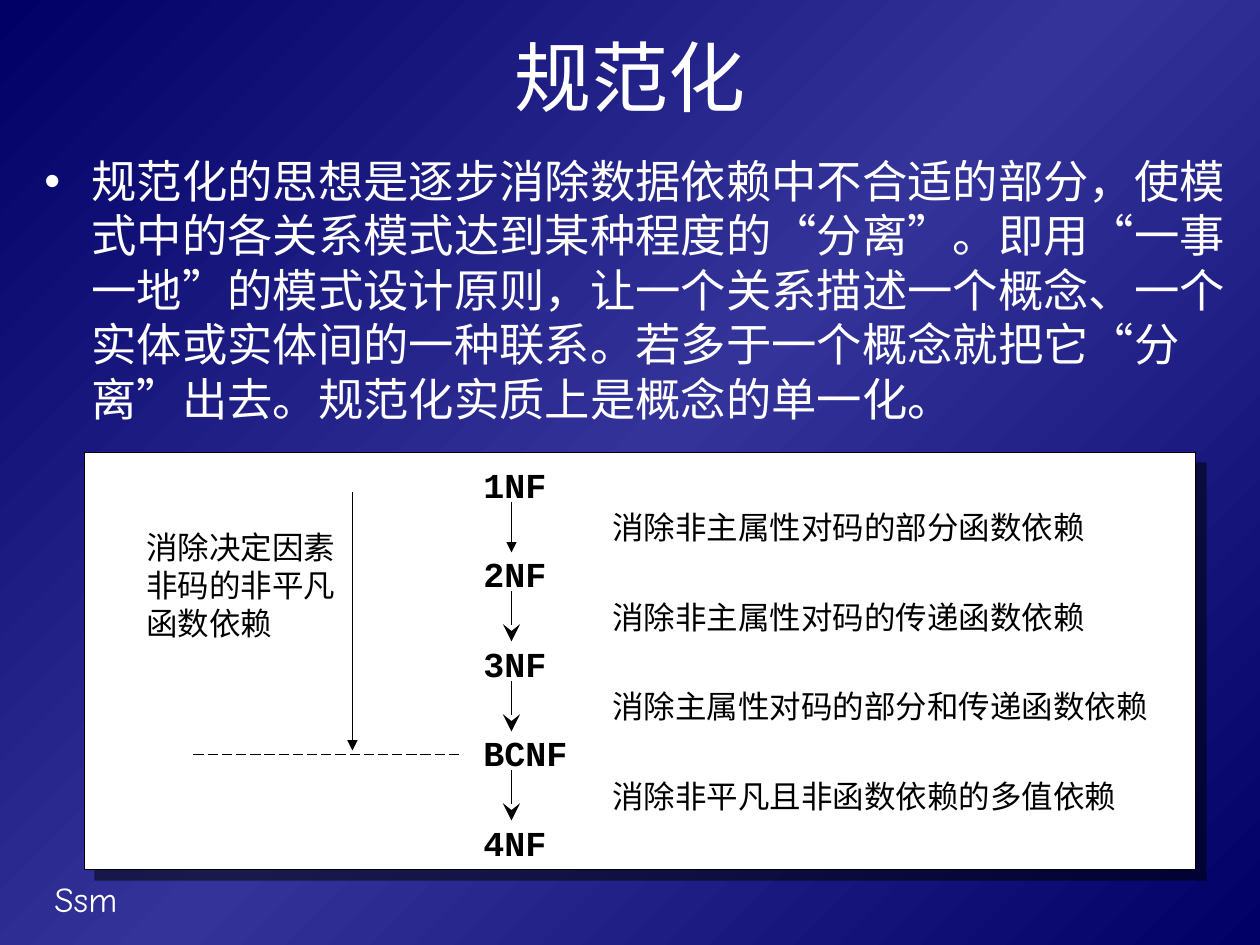
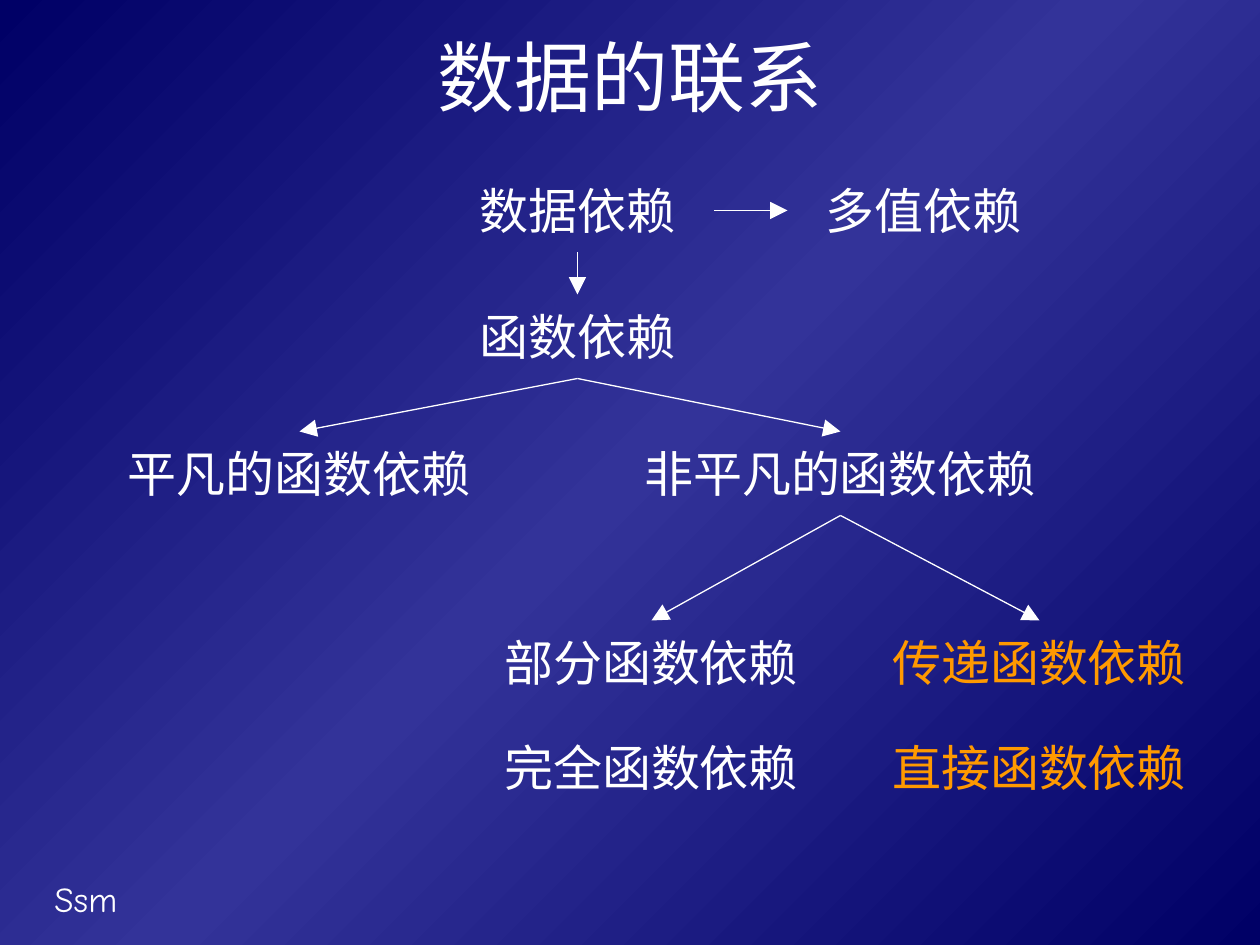
"""Build two slides on normal forms and data dependencies."""
from lxml import etree
from pptx import Presentation
from pptx.dml.color import RGBColor
from pptx.enum.dml import MSO_LINE as Dash
from pptx.enum.shapes import MSO_CONNECTOR as Conn, MSO_SHAPE as Kind
from pptx.enum.text import MSO_ANCHOR as Anchor, PP_ALIGN as Align
from pptx.oxml.ns import qn
from pptx.util import Emu, Pt

WHITE, BLACK, GOLD = "FFFFFF", "000000", "FF9900"
FADE = [(0, "000066"), (50, "333399"), (100, "000066")]
FOOT = "Ssm"

IDEA = ("规范化的思想是逐步消除数据依赖中不合适的部分，使模式中的各关系模式达到某种程度的“分离”。"
        "即用“一事一地”的模式设计原则，让一个关系描述一个概念、一个实体或实体间的一种联系。"
        "若多于一个概念就把它“分离”出去。规范化实质上是概念的单一化。")
FORMS = ["1NF", "2NF", "3NF", "BCNF", "4NF"]
RULES = [
    ("消除非主属性对码的部分函数依赖", "triangle", "med"),
    ("消除非主属性对码的传递函数依赖", "stealth", "lg"),
    ("消除主属性对码的部分和传递函数依赖", "stealth", "lg"),
    ("消除非平凡且非函数依赖的多值依赖", "stealth", "lg"),
]
SIDE = "消除决定因素非码的非平凡函数依赖"
STEP = 89.5

NODES = {
    "数据依赖": (441, 168, 273, WHITE),
    "函数依赖": (441, 294, 273, WHITE),
    "多值依赖": (787, 168, 273, WHITE),
    "平凡的函数依赖": (115, 431, 368, WHITE),
    "非平凡的函数依赖": (630, 431, 420, WHITE),
    "部分函数依赖": (504, 620, 294, WHITE),
    "完全函数依赖": (504, 725, 294, WHITE),
    "传递函数依赖": (892, 620, 294, GOLD),
    "直接函数依赖": (892, 725, 294, GOLD),
}
TALL = 84
LINKS = [
    ("数据依赖", "函数依赖"),
    ("函数依赖", "平凡的函数依赖"),
    ("函数依赖", "非平凡的函数依赖"),
    ("非平凡的函数依赖", "部分函数依赖"),
    ("非平凡的函数依赖", "传递函数依赖"),
    ("数据依赖", "多值依赖"),
]


def px(*vals):
    return [Emu(round(v * 914400 / 126)) for v in vals]


def snap(*vals):
    return [v // 1 + 0.5 for v in vals]


def rgb(code):
    return RGBColor.from_string(code)


def sub(node, tag, **attrs):
    return etree.SubElement(node, qn(tag), attrs)


def write(slide, text, box, size, color=WHITE, font="Arial", bold=False,
          mid=False):
    frame = slide.shapes.add_textbox(*px(*box)).text_frame
    frame.text = text
    frame.word_wrap = True
    para = frame.paragraphs[0]
    if mid:
        frame.vertical_anchor = Anchor.MIDDLE
        frame.margin_left = frame.margin_right = 0
        para.alignment = Align.CENTER
    face = para.runs[0].font
    face.size, face.name, face.bold = Pt(size), font, bold
    face.color.rgb = rgb(color)
    return para


def draw(slide, ends, color, tip=None, size="med", dash=None):
    wire = slide.shapes.add_connector(Conn.STRAIGHT, *px(*snap(*ends)))
    wire.line.color.rgb = rgb(color)
    wire.line.width = Pt(0.75)
    if dash:
        wire.line.dash_style = dash
    if tip:
        sub(wire.line._get_or_add_ln(), "a:tailEnd", type=tip, w=size, len=size)
    sub(wire.element.spPr, "a:effectLst")


def paint(slide):
    fill = slide.background.fill
    fill.gradient()
    fill.gradient_angle = 135
    stops = slide.element.find(".//" + qn("a:gsLst"))
    stops.clear()
    for pos, code in FADE:
        stop = sub(stops, "a:gs", pos=str(pos * 1000))
        sub(stop, "a:srgbClr", val=code)


def start(deck, title):
    slide = deck.slides.add_slide(deck.slide_layouts[6])
    paint(slide)
    write(slide, FOOT, (42, 871, 262, 55), 20, font="Comic Neue")
    write(slide, title, (63, 21, 1134, 110), 44, mid=True)
    return slide


def panel(slide):
    box = snap(84, 452) + [1111, 417]
    card = slide.shapes.add_shape(Kind.RECTANGLE, *px(*box))
    card.fill.solid()
    card.fill.fore_color.rgb = rgb(WHITE)
    card.line.color.rgb = rgb(BLACK)
    card.line.width = Pt(0.75)
    card.shadow.inherit = False
    glow = sub(card.element.spPr.find(qn("a:effectLst")), "a:outerShdw",
               dist=str(Pt(8.5)), dir="2700000", algn="tl", rotWithShape="0")
    sub(sub(glow, "a:srgbClr", val=BLACK), "a:alpha", val="50000")


def norms(deck):
    slide = start(deck, "规范化")
    para = write(slide, IDEA, (32, 147, 1208, 316), 25.9)
    props = para._p.get_or_add_pPr()
    dent = px(47)[0]
    props.set("marL", str(dent))
    props.set("indent", str(-dent))
    sub(sub(props, "a:buClr"), "a:srgbClr", val=WHITE)
    sub(props, "a:buFont", typeface="Arial")
    sub(props, "a:buChar", char="•")
    panel(slide)
    for i, form in enumerate(FORMS):
        write(slide, form, (471, 457 + i * STEP, 149, 55), 20, BLACK,
              "Courier New", True)
    for i, (rule, tip, size) in enumerate(RULES):
        top = 502 + i * STEP
        write(slide, rule, (600, top, 586, 50), 18, BLACK)
        draw(slide, (511, top, 511, top + 50), BLACK, tip, size)
    write(slide, SIDE, (134, 522, 218, 126), 18, BLACK)
    draw(slide, (193, 754, 460, 754), BLACK, dash=Dash.LONG_DASH)
    draw(slide, (352, 492, 352, 750), BLACK, "triangle")


def tree(deck):
    slide = start(deck, "数据的联系")
    for name, (left, top, wide, color) in NODES.items():
        write(slide, name, (left, top, wide, TALL), 28, color, mid=True)
    for head, tail in LINKS:
        x, y, wide, _ = NODES[head]
        left, top, span, _ = NODES[tail]
        if y == top:
            ends = x + wide, y + TALL / 2, left, top + TALL / 2
        else:
            ends = x + wide / 2, y + TALL, left + span / 2, top
        draw(slide, ends, WHITE, "triangle", "lg")


def main():
    deck = Presentation()
    deck.slide_width, deck.slide_height = px(1260, 945)
    norms(deck)
    tree(deck)
    deck.save("out.pptx")


if __name__ == "__main__":
    main()
